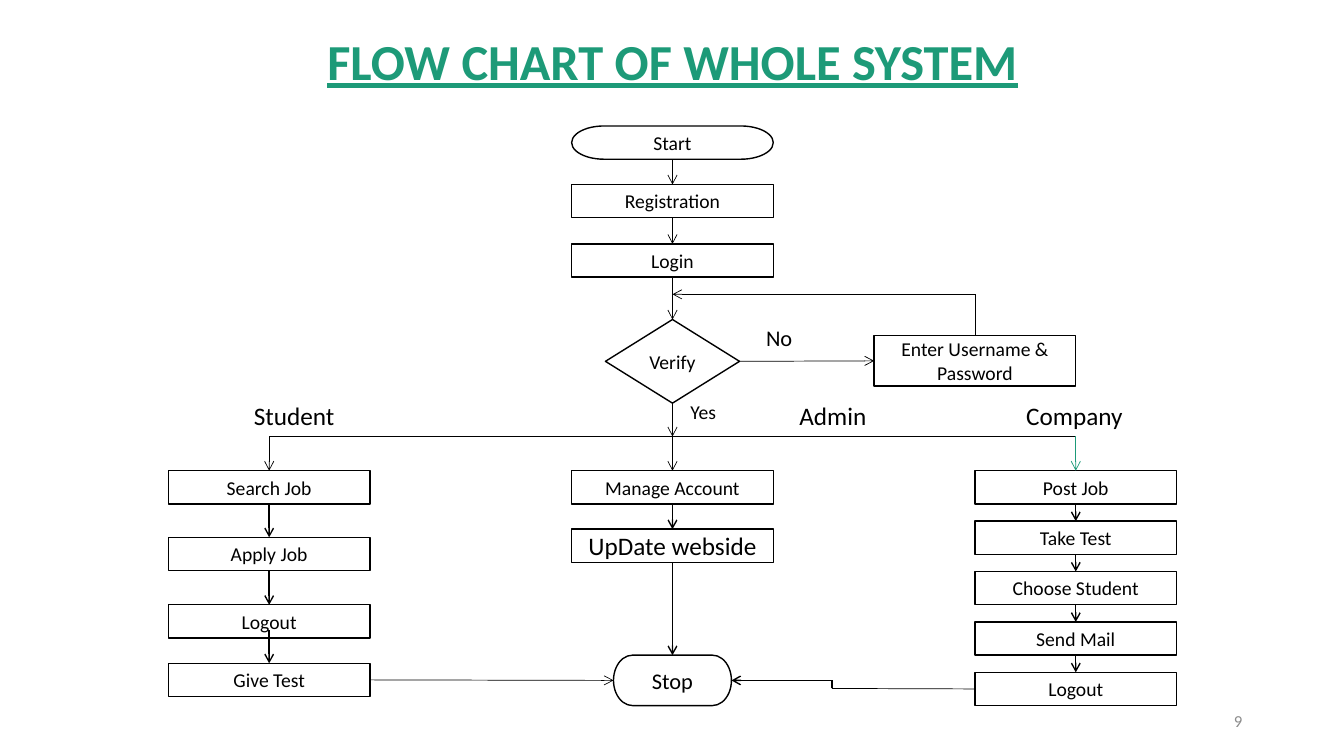
from dataclasses import dataclass
from itertools import pairwise
from typing import NamedTuple, Union

from lxml.etree import SubElement
from pptx import Presentation
from pptx.dml.color import RGBColor
from pptx.enum.shapes import MSO_CONNECTOR, MSO_SHAPE
from pptx.enum.text import MSO_ANCHOR, MSO_AUTO_SIZE, PP_ALIGN
from pptx.oxml.ns import qn
from pptx.shapes.autoshape import Shape
from pptx.slide import Slide
from pptx.text.text import TextFrame
from pptx.util import Inches, Pt

COLORS = {"black": "000000", "white": "FFFFFF", "green": "1D9A78", "gray": "8C8C8C"}
FONT = "Calibri"
TOP, LEFT, BOTTOM, RIGHT = range(4)
STUDENT_X, ADMIN_X, COMPANY_X = 2.67, 6.67, 10.67
BRANCH_Y, RETRY_Y, STOP_Y = 4.33, 2.92, 6.75
RETRY_X, BEND_X = 9.67, 8.25


@dataclass(frozen=True)
class Step:
    """A flow chart box, placed by its horizontal centre and its top."""

    key: str
    center: float
    top: float
    text: str = ""
    width: float = 2
    height: float = 0.33
    size: int = 14
    preset: MSO_SHAPE = MSO_SHAPE.FLOWCHART_PROCESS


class Point(NamedTuple):
    """A free end of a line."""

    x: float
    y: float


class Joint(NamedTuple):
    """A line end joined to the middle of a box side."""

    key: str
    side: int


@dataclass(frozen=True)
class Link:
    """A line between two ends, with an arrowhead unless told otherwise."""

    start: Union[Point, Joint]
    end: Union[Point, Joint]
    weight: float = 0.5
    arrow: bool = True
    color: str = "black"


@dataclass(frozen=True)
class Label:
    """A free text on the slide."""

    text: str
    left: float
    top: float
    width: float
    height: float
    size: int
    wrap: bool = True
    color: str = "black"
    align: PP_ALIGN = PP_ALIGN.LEFT
    anchor: MSO_ANCHOR = MSO_ANCHOR.TOP


STEPS = [
    Step("Start", ADMIN_X, 1.25, preset=MSO_SHAPE.FLOWCHART_TERMINATOR),
    Step("Registration", ADMIN_X, 1.83),
    Step("Login", ADMIN_X, 2.42),
    Step("Verify", ADMIN_X, 3.17, width=1.33, height=0.83, preset=MSO_SHAPE.FLOWCHART_DECISION),
    Step("Enter Username & Password", RETRY_X, 3.33, height=0.5),
    Step("Search Job", STUDENT_X, 4.67),
    Step("Apply Job", STUDENT_X, 5.33),
    Step("Student Logout", STUDENT_X, 6, "Logout"),
    Step("Give Test", STUDENT_X, 6.58),
    Step("Manage Account", ADMIN_X, 4.67),
    Step("UpDate webside", ADMIN_X, 5.25, size=18),
    Step("Stop", ADMIN_X, 6.5, width=1.17, height=0.5, size=16,
         preset=MSO_SHAPE.FLOWCHART_TERMINATOR),
    *(Step(key, COMPANY_X, 4.67 + 0.5 * row, text) for row, (key, text) in enumerate([
        ("Post Job", ""), ("Take Test", ""), ("Choose Student", ""),
        ("Send Mail", ""), ("Company Logout", "Logout")])),
]

CHAINS = [
    (0.5, ["Start", "Registration", "Login", "Verify"]),
    (1, ["Search Job", "Apply Job", "Student Logout"]),
    (1, ["Manage Account", "UpDate webside", "Stop"]),
    (1, ["Post Job", "Take Test", "Choose Student", "Send Mail", "Company Logout"]),
]

LINKS = [
    *(Link(Joint(upper, BOTTOM), Joint(lower, TOP), weight)
      for weight, keys in CHAINS for upper, lower in pairwise(keys)),
    Link(Point(STUDENT_X, 6.25), Joint("Give Test", TOP), 1),
    Link(Joint("Verify", RIGHT), Joint("Enter Username & Password", LEFT)),
    Link(Point(RETRY_X, RETRY_Y), Joint("Enter Username & Password", TOP), arrow=False),
    Link(Point(RETRY_X, RETRY_Y), Point(ADMIN_X, RETRY_Y)),
    Link(Joint("Verify", BOTTOM), Point(ADMIN_X, BRANCH_Y)),
    Link(Point(ADMIN_X, BRANCH_Y), Point(COMPANY_X, BRANCH_Y), arrow=False),
    Link(Point(STUDENT_X, BRANCH_Y), Point(ADMIN_X, BRANCH_Y), arrow=False),
    Link(Point(STUDENT_X, BRANCH_Y), Joint("Search Job", TOP)),
    Link(Point(ADMIN_X, BRANCH_Y), Joint("Manage Account", TOP)),
    Link(Point(COMPANY_X, BRANCH_Y), Joint("Post Job", TOP), color="green"),
    Link(Joint("Give Test", RIGHT), Joint("Stop", LEFT)),
    Link(Joint("Company Logout", LEFT), Point(BEND_X, 6.83), arrow=False),
    Link(Point(BEND_X, STOP_Y), Point(BEND_X, 6.83), 1, arrow=False),
    Link(Point(BEND_X, STOP_Y), Joint("Stop", RIGHT), 1),
]

LABELS = [
    Label("Student", 2.42, 3.92, 1.17, 0.4, 18),
    Label("Admin", 7.83, 3.92, 1.5, 0.4, 18),
    Label("Company", 10.08, 3.92, 1.42, 0.4, 18),
    Label("No", 7.5, 3.17, 0.47, 0.37, 16, wrap=False),
    Label("Yes", 6.75, 3.92, 0.46, 0.34, 14, wrap=False),
    Label("9", 9.42, 6.95, 3, 0.4, 12, color="gray", align=PP_ALIGN.RIGHT,
          anchor=MSO_ANCHOR.MIDDLE),
]


def paint(name: str) -> RGBColor:
    """Return a named colour."""
    return RGBColor.from_string(COLORS[name])


def write(frame: TextFrame, text: str, size: int, color: str, align: PP_ALIGN,
          anchor: MSO_ANCHOR, wrap: bool = True) -> None:
    """Fill a text frame with one formatted paragraph."""
    frame.text = text
    frame.word_wrap = wrap
    frame.auto_size = MSO_AUTO_SIZE.NONE
    frame.vertical_anchor = anchor
    para = frame.paragraphs[0]
    para.alignment = align
    font = para.runs[0].font
    font.name, font.size = FONT, Pt(size)
    font.color.rgb = paint(color)


def add_title(page: Slide, text: str) -> None:
    """Place and format the slide title."""
    title = page.shapes.title
    title.left, title.top = Inches(0.67), Inches(0.25)
    title.width, title.height = Inches(12), Inches(0.71)
    write(title.text_frame, text, 36, "green", PP_ALIGN.CENTER, MSO_ANCHOR.TOP)
    font = title.text_frame.paragraphs[0].runs[0].font
    font.bold = font.underline = True


def add_step(page: Slide, step: Step) -> Shape:
    """Draw one flow chart box."""
    box = page.shapes.add_shape(step.preset, Inches(step.center - step.width / 2),
                                Inches(step.top), Inches(step.width), Inches(step.height))
    box.shadow.inherit = False
    box.fill.solid()
    box.fill.fore_color.rgb = paint("white")
    box.line.color.rgb = paint("black")
    box.line.width = Pt(1)
    write(box.text_frame, step.text or step.key, step.size, "black",
          PP_ALIGN.CENTER, MSO_ANCHOR.MIDDLE)
    return box


def add_link(page: Slide, link: Link, boxes: dict[str, Shape]) -> None:
    """Draw one line and join it to its boxes."""
    start, end = (Point(0, 0) if isinstance(tip, Joint) else tip for tip in (link.start, link.end))
    line = page.shapes.add_connector(MSO_CONNECTOR.STRAIGHT, Inches(start.x), Inches(start.y),
                                     Inches(end.x), Inches(end.y))
    for tip, connect in ((link.start, line.begin_connect), (link.end, line.end_connect)):
        if isinstance(tip, Joint):
            connect(boxes[tip.key], tip.side)
    line.line.color.rgb = paint(link.color)
    line.line.width = Pt(link.weight)
    properties = line._element.spPr
    if link.arrow:
        SubElement(properties.find(qn("a:ln")), qn("a:tailEnd"), type="arrow")
    SubElement(properties, qn("a:effectLst"))


def add_label(page: Slide, label: Label) -> None:
    """Draw one free text."""
    box = page.shapes.add_textbox(Inches(label.left), Inches(label.top),
                                  Inches(label.width), Inches(label.height))
    write(box.text_frame, label.text, label.size, label.color, label.align,
          label.anchor, label.wrap)


def main() -> None:
    """Build and save the deck."""
    deck = Presentation()
    deck.slide_width, deck.slide_height = Inches(13.33), Inches(7.5)
    page = deck.slides.add_slide(deck.slide_layouts.get_by_name("Title Only"))
    add_title(page, "FLOW CHART OF WHOLE SYSTEM")
    boxes = {step.key: add_step(page, step) for step in STEPS}
    for link in LINKS:
        add_link(page, link, boxes)
    for label in LABELS:
        add_label(page, label)
    deck.save("out.pptx")


if __name__ == "__main__":
    main()
